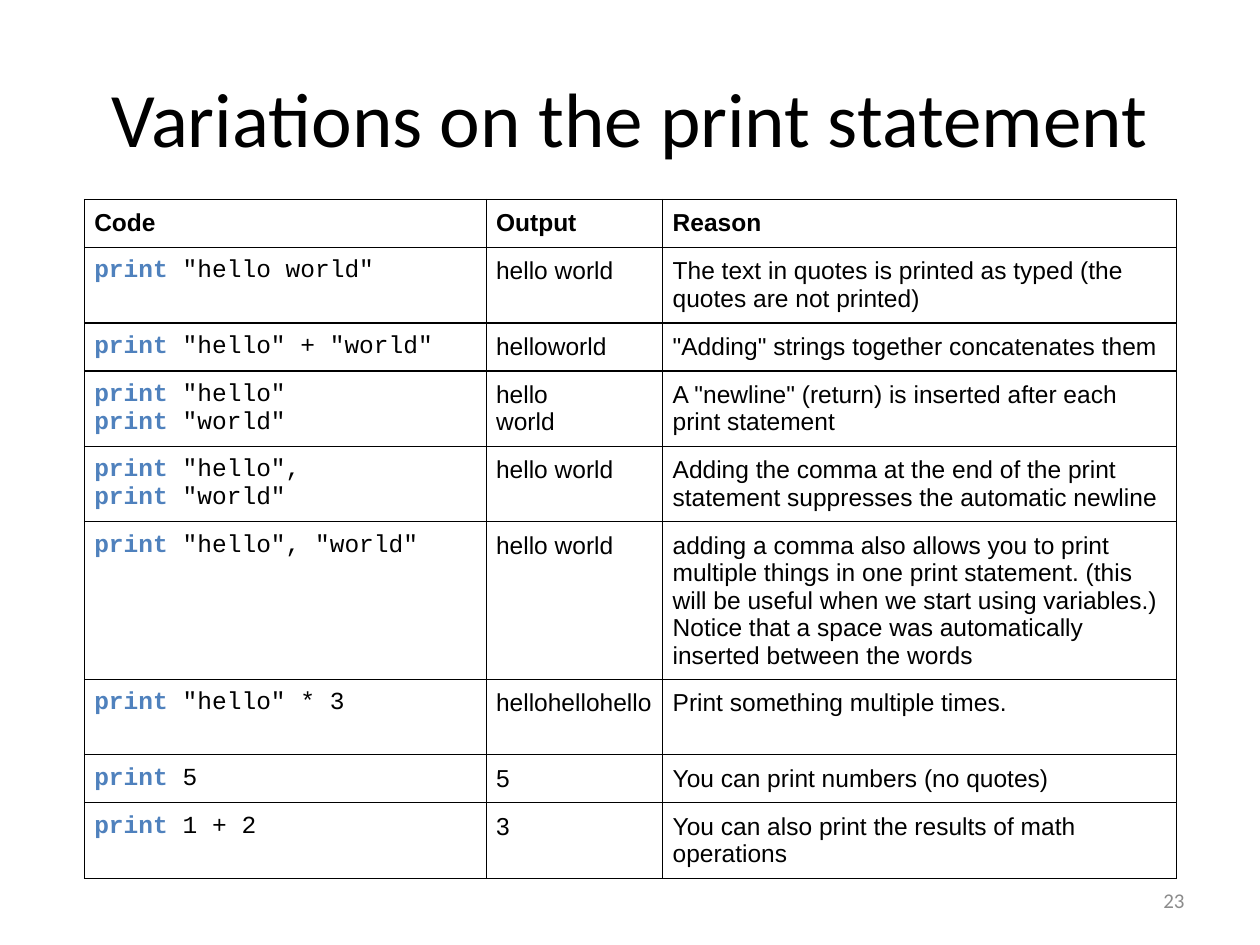
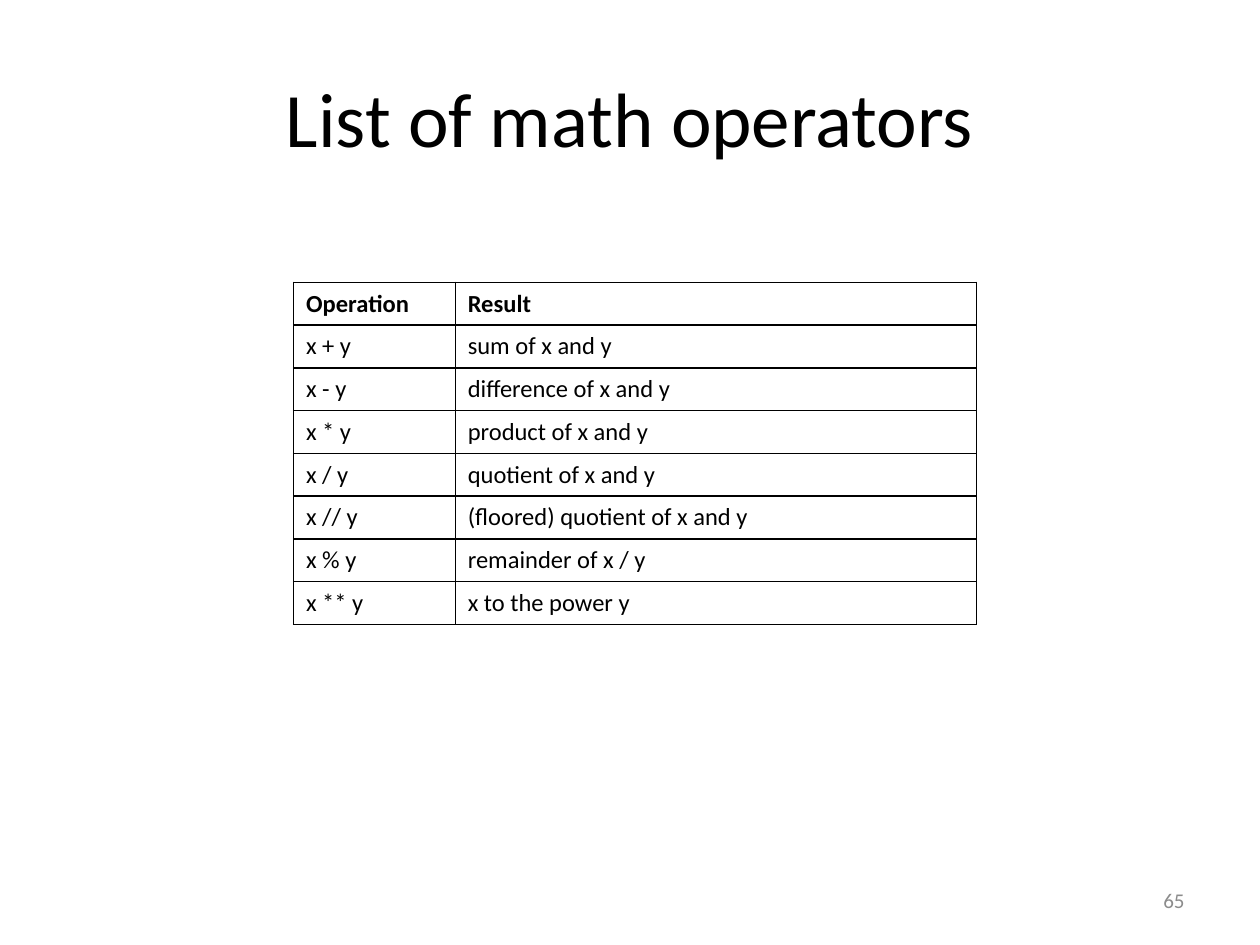
from lxml.etree import SubElement
from pptx import Presentation
from pptx.dml.color import RGBColor
from pptx.enum.text import MSO_ANCHOR as Anchor, PP_ALIGN as Align
from pptx.oxml.ns import qn
from pptx.util import Cm, Pt

COLORS = {"text": "000000", "keyword": "4F81BD", "number": "8C8C8C"}

PRINT_ROWS = [
    ("Code", "Output", "Reason"),
    ('print "hello world"', "hello world",
     "The text in quotes is printed as typed (the quotes are not printed)"),
    ('print "hello" + "world"', "helloworld",
     '"Adding" strings together concatenates them'),
    ('print "hello"\nprint "world"', "hello\nworld",
     'A "newline" (return) is inserted after each print statement'),
    ('print "hello",\nprint "world"', "hello world",
     "Adding the comma at the end of the print statement suppresses the "
     "automatic newline"),
    ('print "hello", "world"', "hello world",
     "adding a comma also allows you to print multiple things in one print "
     "statement. (this will be useful when we start using variables.) Notice "
     "that a space was automatically inserted between the words"),
    ('print "hello" * 3', "hellohellohello", "Print something multiple times."),
    ("print 5", "5", "You can print numbers (no quotes)"),
    ("print 1 + 2", "3", "You can also print the results of math operations"),
]
PRINT_LINES = [1, 2, 1, 2, 2, 5, 2, 1, 2]  # lines of text in the tallest cell

OPERATOR_ROWS = [
    ("Operation", "Result"),
    ("x + y", "sum of x and y"),
    ("x - y", "difference of x and y"),
    ("x * y", "product of x and y"),
    ("x / y", "quotient of x and y"),
    ("x // y", "(floored) quotient of x and y"),
    ("x % y", "remainder of x / y"),
    ("x ** y", "x to the power y"),
]

SLIDES = [
    {"title": "Variations on the print statement", "number": "23",
     "rows": PRINT_ROWS, "left": 1.7, "top": 4.02,
     "widths": [8.1, 3.56, 10.36],
     "heights": [0.42 + 0.55 * lines for lines in PRINT_LINES],
     "font": "Arial", "border": 0.75, "margins": (0.2, 0.2)},
    {"title": "List of math operators", "number": "65",
     "rows": OPERATOR_ROWS, "left": 5.92, "top": 5.69,
     "widths": [3.26, 10.5], "heights": [0.86] * len(OPERATOR_ROWS),
     "font": "Calibri", "border": 1, "margins": (0.25, 0.13)},
]


def write(paragraph, text, font="Calibri", size=14, color="text", bold=False,
          align=Align.LEFT):
    paragraph.alignment = align
    run = paragraph.add_run()
    run.text = text
    run.font.name = font
    run.font.size = Pt(size)
    run.font.bold = bold
    run.font.color.rgb = RGBColor.from_string(COLORS[color])


def draw_borders(cell, width):
    properties = cell._tc.get_or_add_tcPr()
    for side in ("lnL", "lnR", "lnT", "lnB"):
        line = SubElement(properties, qn(f"a:{side}"), w=str(Pt(width)))
        fill = SubElement(line, qn("a:solidFill"))
        SubElement(fill, qn("a:srgbClr"), val=COLORS["text"])


presentation = Presentation()
presentation.slide_width, presentation.slide_height = Cm(25.4), Cm(19.05)
title_only = presentation.slide_layouts[5]

for content in SLIDES:
    slide = presentation.slides.add_slide(title_only)

    title = slide.shapes.title
    title.left, title.top, title.width, title.height = (
        Cm(1.27), Cm(0.76), Cm(22.86), Cm(3.18))
    title.text_frame.vertical_anchor = Anchor.MIDDLE
    write(title.text_frame.paragraphs[0], content["title"], size=44,
          align=Align.CENTER)

    rows, widths, heights = content["rows"], content["widths"], content["heights"]
    table = slide.shapes.add_table(
        len(rows), len(widths), Cm(content["left"]), Cm(content["top"]),
        Cm(sum(widths)), Cm(sum(heights))).table
    table.horz_banding = False
    for column, width in zip(table.columns, widths):
        column.width = Cm(width)
    for row, height in zip(table.rows, heights):
        row.height = Cm(height)

    side_margin, end_margin = content["margins"]
    for row_index, texts in enumerate(rows):
        for column_index, text in enumerate(texts):
            cell = table.cell(row_index, column_index)
            draw_borders(cell, content["border"])
            cell.fill.background()
            cell.margin_left = cell.margin_right = Cm(side_margin)
            cell.margin_top = cell.margin_bottom = Cm(end_margin)
            frame = cell.text_frame
            for line_index, line in enumerate(text.split("\n")):
                paragraph = frame.add_paragraph() if line_index else frame.paragraphs[0]
                if line.startswith("print "):
                    keyword, space, rest = line.partition(" ")
                    write(paragraph, keyword + space, font="Courier New",
                          color="keyword", bold=True)
                    write(paragraph, rest, font="Courier New")
                else:
                    write(paragraph, line, font=content["font"],
                          bold=row_index == 0)

    number_box = slide.shapes.add_textbox(Cm(18.2), Cm(17.65), Cm(5.93), Cm(1.01))
    number_box.text_frame.word_wrap = True
    number_box.text_frame.vertical_anchor = Anchor.MIDDLE
    write(number_box.text_frame.paragraphs[0], content["number"], size=12,
          color="number", align=Align.RIGHT)

presentation.save("out.pptx")
